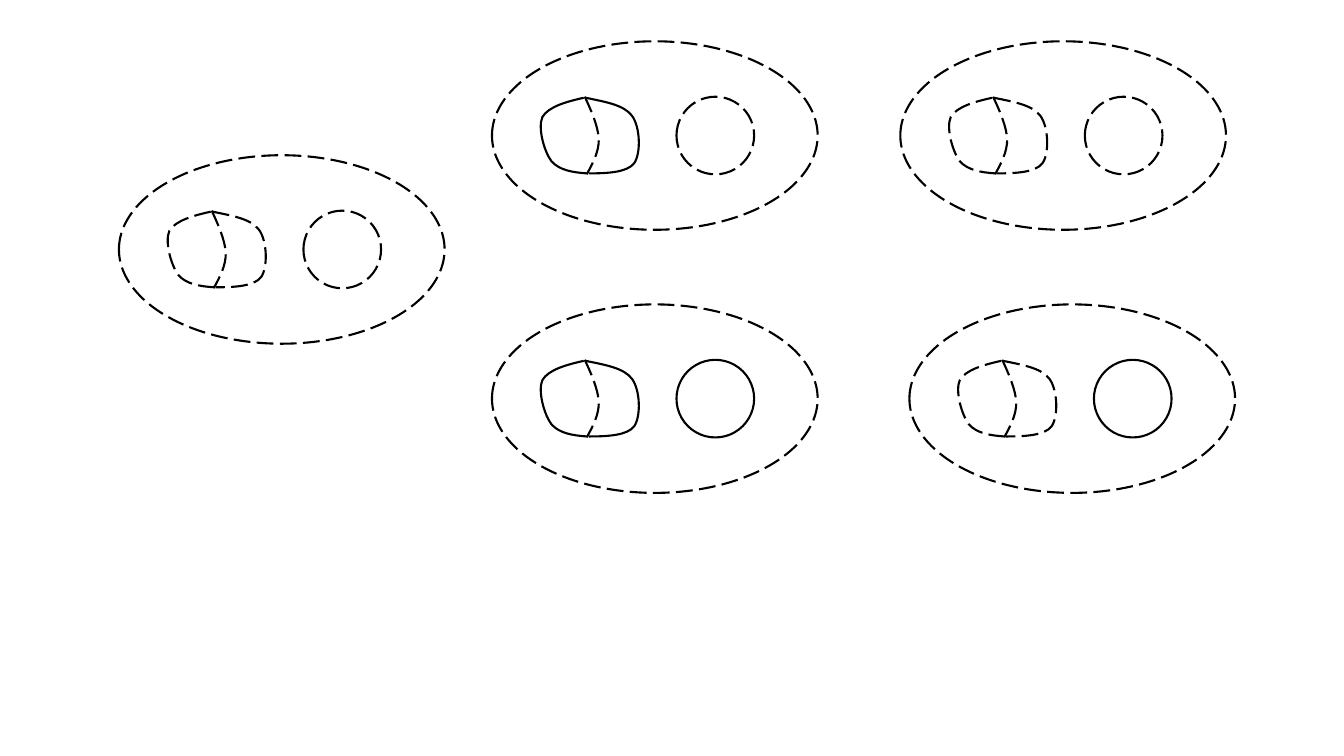
"""Five dashed ovals, each with a two-part curved blob and a circle, solid or dashed."""
from lxml import etree
from pptx import Presentation
from pptx.dml.color import RGBColor
from pptx.enum import dml, shapes
from pptx.oxml.ns import qn
from pptx.util import Inches, Pt

BLACK = RGBColor(0, 0, 0)
DASHED, SOLID = dml.MSO_LINE.LONG_DASH, dml.MSO_LINE.SOLID

# left, top, width, height and curve points, measured from the oval's corner
OVAL = (0, 0, 3.23, 1.87), None
CIRCLE = (1.83, 0.55, 0.77, 0.77), None
CREASE = (0.92, 0.55, 0.14, 0.76), [
    (0.92, 0.55), (0.99, 0.70), (1.05, 0.84), (1.06, 0.97),
    (1.06, 1.10), (1.00, 1.21), (0.94, 1.32)]
LEFT_HALF = (0.49, 0.56, 0.45, 0.75), [
    (0.91, 0.56), (0.73, 0.60), (0.56, 0.65), (0.50, 0.75),
    (0.45, 0.86), (0.52, 1.10), (0.59, 1.19),
    (0.67, 1.28), (0.80, 1.30), (0.94, 1.31)]
RIGHT_HALF = (0.93, 0.56, 0.53, 0.75), [
    (0.93, 0.56), (1.12, 0.60), (1.31, 0.63), (1.39, 0.74),
    (1.47, 0.85), (1.48, 1.11), (1.41, 1.21),
    (1.34, 1.30), (1.15, 1.31), (0.96, 1.31)]

# left, top, blob outline, circle outline
OVALS = [
    (1.18, 1.54, DASHED, DASHED),
    (4.88, 0.41, SOLID, DASHED),
    (4.88, 3.02, SOLID, SOLID),
    (8.93, 0.41, DASHED, DASHED),
    (9.02, 3.02, DASHED, SOLID),
]


def add_curve(slide, left, top, width, height, points):
    builder = slide.shapes.build_freeform(Inches(left), Inches(top))
    builder.add_line_segments([(Inches(left + width), Inches(top + height))], close=False)
    curve = builder.convert_to_shape()
    outline = curve._element.find(".//" + qn("a:path"))
    for straight in list(outline):
        outline.remove(straight)
    groups = [points[:1]] + [points[i:i + 3] for i in range(1, len(points), 3)]
    for number, group in enumerate(groups):
        command = etree.SubElement(outline, qn("a:cubicBezTo" if number else "a:moveTo"))
        for x, y in group:
            etree.SubElement(command, qn("a:pt"),
                             x=str(Inches(x - left)), y=str(Inches(y - top)))
    return curve


prs = Presentation()
prs.slide_width, prs.slide_height = Inches(13.33), Inches(7.5)
slide = prs.slides.add_slide(prs.slide_layouts[6])

for oval_left, oval_top, blob_dash, circle_dash in OVALS:
    parts = [(OVAL, DASHED), (CREASE, DASHED), (CIRCLE, circle_dash),
             (LEFT_HALF, blob_dash), (RIGHT_HALF, blob_dash)]
    for ((x, y, width, height), points), dash in parts:
        left, top = oval_left + x, oval_top + y
        if points:
            placed = [(oval_left + px, oval_top + py) for px, py in points]
            part = add_curve(slide, left, top, width, height, placed)
        else:
            part = slide.shapes.add_shape(
                shapes.MSO_SHAPE.OVAL, *map(Inches, (left, top, width, height)))
        part.shadow.inherit = False
        part.fill.background()
        part.line.color.rgb = BLACK
        for name, value in {"width": Pt(1.5), "dash_style": dash}.items():
            setattr(part.line, name, value)

prs.save("out.pptx")
